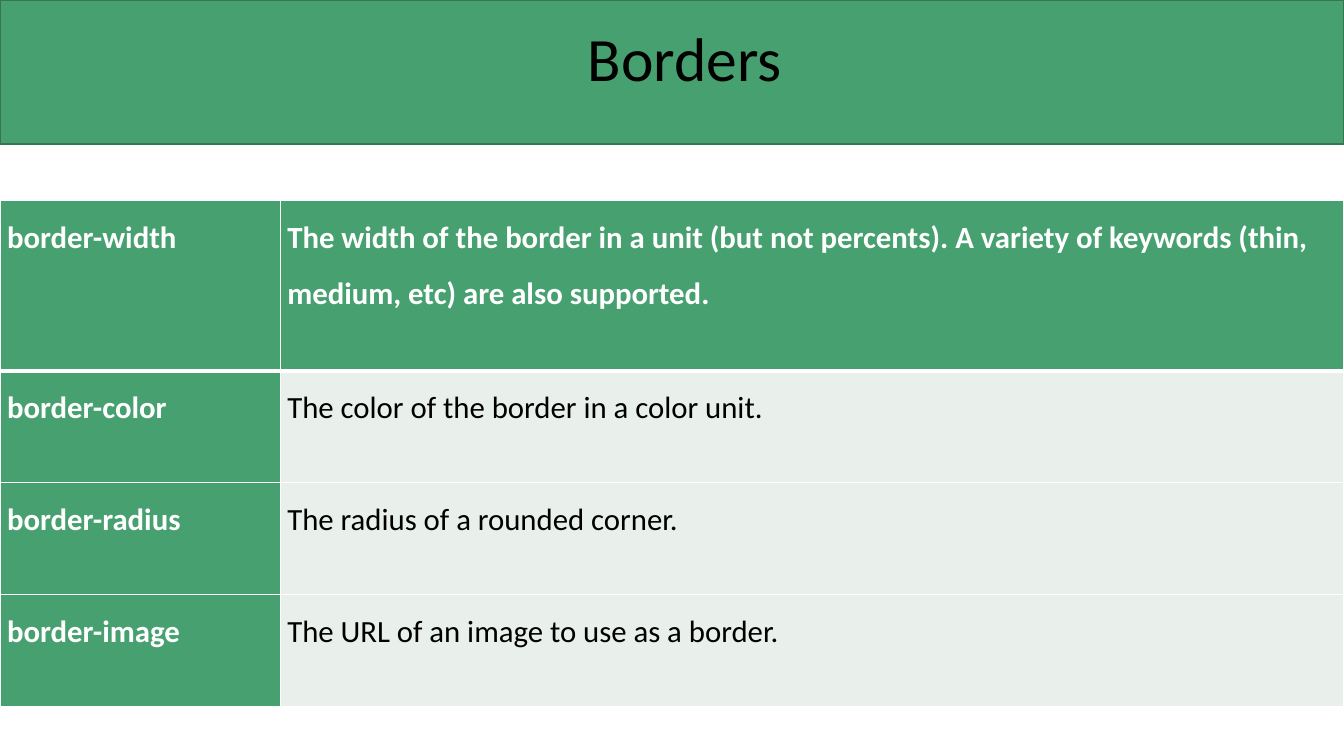
"""Build the Borders slide: a green title band over a table of properties."""
from lxml import etree
from pptx import Presentation
from pptx.dml.color import RGBColor
from pptx.enum.shapes import MSO_SHAPE
from pptx.enum.text import MSO_ANCHOR, MSO_AUTO_SIZE, PP_ALIGN
from pptx.oxml.ns import qn
from pptx.util import Inches, Pt

RECT = MSO_SHAPE.RECTANGLE
MIDDLE, TOP = MSO_ANCHOR.MIDDLE, MSO_ANCHOR.TOP
LEFT, NO_FIT = PP_ALIGN.LEFT, MSO_AUTO_SIZE.NONE
GREEN, PALE, WHITE, BLACK = "46A06F", "E9F0EB", "FFFFFF", "000000"
WIDTH = 13.33
COLS = (2.78, 10.55)
ROWS = (
    (1.69, "border-width", "The width of the border in a unit (but not percents). "
     "A variety of keywords (thin, medium, etc) are also supported."),
    (1.11, "border-color", "The color of the border in a color unit."),
    (1.11, "border-radius", "The radius of a rounded corner."),
    (1.11, "border-image", "The URL of an image to use as a border."),
)


def paint(target, color):
    """Give a fill or line format a solid color."""
    target.solid()
    target.fore_color.rgb = RGBColor.from_string(color)


def edge(cell, side, points):
    """Draw one white cell border."""
    props = cell._tc.get_or_add_tcPr()
    line = etree.Element(qn("a:" + side), w=str(Pt(points)))
    fill = etree.SubElement(line, qn("a:solidFill"))
    etree.SubElement(fill, qn("a:srgbClr"), val=WHITE)
    props.append(line)


deck = Presentation()
deck.slide_width, deck.slide_height = Inches(WIDTH), Inches(7.5)
slide = deck.slides.add_slide(deck.slide_layouts[5])

title = slide.shapes.title
title.left, title.top = Inches(5.73), Inches(-0.11)
title.width, title.height = Inches(11.5), Inches(1.45)
frame = title.text_frame
frame.text = "Borders"
frame.auto_size = NO_FIT
frame.vertical_anchor = MIDDLE
para = frame.paragraphs[0]
para.alignment = LEFT
para.line_spacing = 0.9
para.font.name, para.font.size = "Calibri", Pt(44)
para.font.color.rgb = RGBColor.from_string(BLACK)

band = slide.shapes.add_shape(RECT, 0, 0, Inches(WIDTH), Inches(1.43))
band.shadow.inherit = False
paint(band.fill, GREEN)
paint(band.line.fill, "347652")
band.line.width = Pt(1)
title.element.addprevious(band.element)

height = sum(row[0] for row in ROWS)
table = slide.shapes.add_table(len(ROWS), len(COLS), 0, Inches(1.99),
                               Inches(WIDTH), Inches(height)).table
table.horz_banding = False
for col, width in zip(table.columns, COLS):
    col.width = Inches(width)

for r, (tall, *texts) in enumerate(ROWS):
    table.rows[r].height = Inches(tall)
    for c, text in enumerate(texts):
        cell = table.cell(r, c)
        strong = r == 0 or c == 0
        cell.margin_left = cell.margin_right = Inches(0.07)
        cell.margin_top = cell.margin_bottom = 0
        cell.vertical_anchor = TOP
        for side in ("lnL", "lnR"):
            edge(cell, side, 1)
        edge(cell, "lnT", 3 if r == 1 else 1)
        edge(cell, "lnB", 3 if r == 0 else 1)
        paint(cell.fill, GREEN if strong else PALE)
        cell.text = text
        para = cell.text_frame.paragraphs[0]
        para.line_spacing = 1.5
        if c == 1:
            para.space_after = Pt(7)
        para.font.name, para.font.size = "Calibri", Pt(22)
        para.font.bold = strong
        para.font.color.rgb = RGBColor.from_string(WHITE if strong else BLACK)

deck.save("out.pptx")
